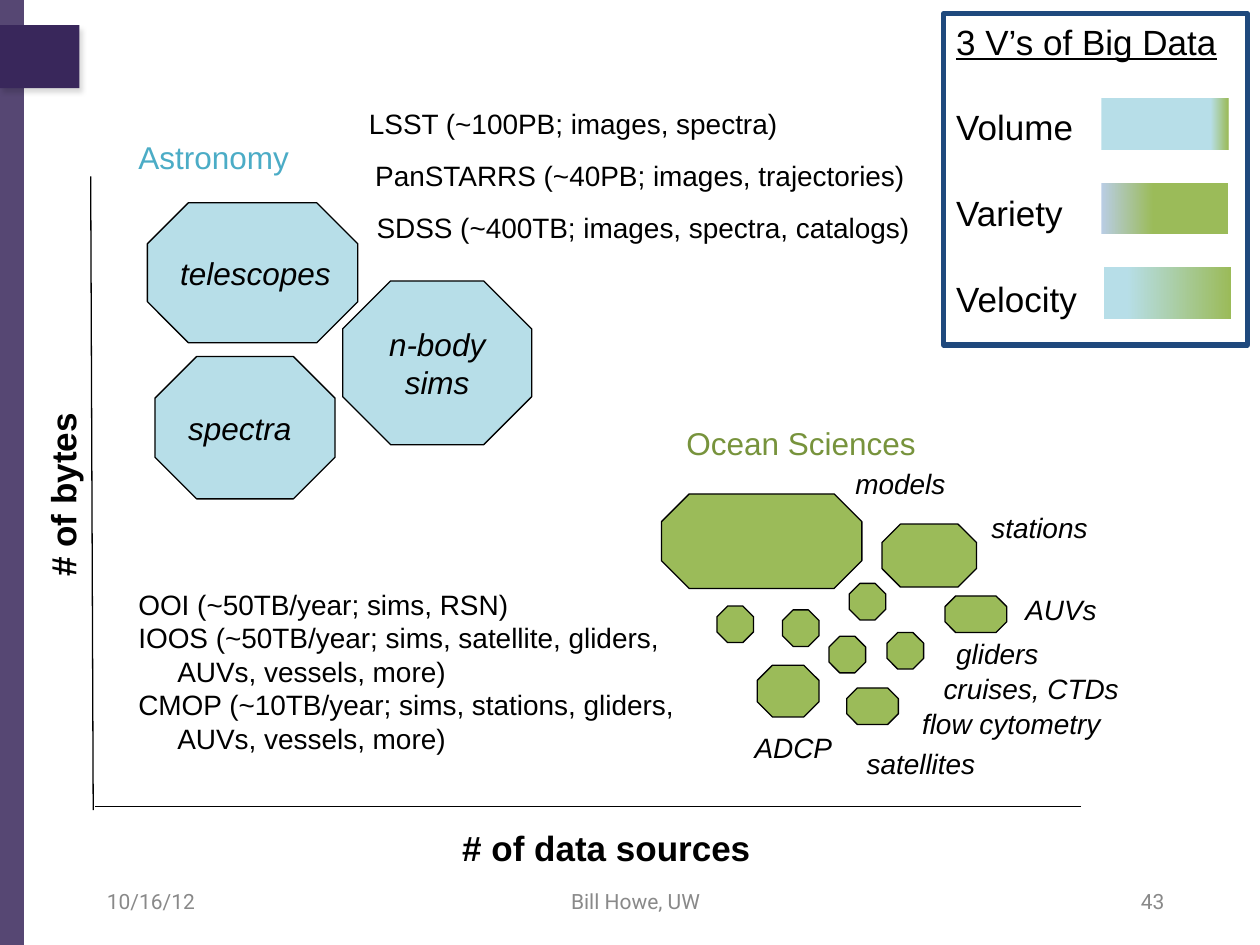
from lxml import etree
from pptx import Presentation
from pptx.dml.color import RGBColor
from pptx.enum.shapes import MSO_CONNECTOR, MSO_SHAPE
from pptx.enum.text import MSO_ANCHOR, PP_ALIGN
from pptx.oxml import parse_xml
from pptx.oxml.ns import nsdecls, qn
from pptx.util import Inches, Pt

BLACK = RGBColor(0x00, 0x00, 0x00)
PURPLE = RGBColor(0x39, 0x27, 0x5B)
GREY = RGBColor(0x89, 0x89, 0x89)
NAVY = RGBColor(0x1F, 0x49, 0x7D)
PALE_BLUE = RGBColor(0xB7, 0xDE, 0xE8)
LILAC = RGBColor(0xB9, 0xCD, 0xE5)
GREEN = RGBColor(0x9B, 0xBB, 0x59)
ASTRO_TEXT = RGBColor(0x4B, 0xAC, 0xC6)
OCEAN_TEXT = RGBColor(0x77, 0x93, 0x3C)


def style(p, size, color=BLACK, name="Arial", bold=False, italic=False):
    """Set the font of a paragraph."""
    f = p.font
    f.name, f.size, f.bold, f.italic = name, Pt(size), bold, italic
    f.color.rgb = color


def add_text(slide, x, y, w, h, text, size, align=PP_ALIGN.LEFT, **font):
    """Add a wrapping text box with one paragraph for each line of text."""
    sp = slide.shapes.add_textbox(Inches(x), Inches(y), Inches(w), Inches(h))
    tf = sp.text_frame
    tf.word_wrap = True
    tf.text = text
    for p in tf.paragraphs:
        p.alignment = align
        style(p, size, **font)
    return sp


def add_box(slide, kind, x, y, w, h, fill=None):
    """Add a flat preset shape without an outline."""
    sp = slide.shapes.add_shape(kind, Inches(x), Inches(y), Inches(w), Inches(h))
    sp.shadow.inherit = False
    sp.line.fill.background()
    if fill is None:
        sp.fill.background()
    else:
        sp.fill.solid()
        sp.fill.fore_color.rgb = fill
    return sp


def add_octagon(slide, x, y, w, h, fill, text="", wrap=False, align=PP_ALIGN.LEFT):
    """Add an outlined octagon with an optional italic label."""
    sp = add_box(slide, MSO_SHAPE.OCTAGON, x, y, w, h, fill)
    sp.adjustments[0] = 0.293
    sp.line.color.rgb = BLACK
    sp.line.width = Pt(0.75)
    if text:
        tf = sp.text_frame
        tf.word_wrap = wrap
        tf.vertical_anchor = MSO_ANCHOR.MIDDLE
        tf.text = text
        p = tf.paragraphs[0]
        p.alignment = align
        style(p, 18, italic=True)


def add_line(slide, x1, y1, x2, y2):
    """Add a thin black line."""
    line = slide.shapes.add_connector(
        MSO_CONNECTOR.STRAIGHT, Inches(x1), Inches(y1), Inches(x2), Inches(y2))
    line.line.color.rgb = BLACK
    line.line.width = Pt(0.75)
    etree.SubElement(line._element.spPr, qn("a:effectLst"))


def add_sidebar(slide, x, y, h):
    """Draw the translucent side band and the tab over it."""
    band = add_box(slide, MSO_SHAPE.RECTANGLE, x, y, 0.19, h, PURPLE)
    color = band._element.spPr.find(qn("a:solidFill"))[0]
    etree.SubElement(color, qn("a:alpha"), val="85000")
    tab = add_box(slide, MSO_SHAPE.RECTANGLE, x, y + 0.2, 0.63, 0.5, PURPLE)
    tab._element.spPr.find(qn("a:effectLst")).append(parse_xml(
        f'<a:outerShdw {nsdecls("a")} blurRad="38100" dist="38100" dir="3600000">'
        '<a:srgbClr val="000000"><a:alpha val="15000"/></a:srgbClr></a:outerShdw>'))


def add_footer(slide, x, y, h):
    """Place the date, author and page number."""
    for dx, w, text, align in (
            (0, 2.33, "10/16/12", PP_ALIGN.LEFT),
            (2.71, 3.17, "Bill Howe, UW", PP_ALIGN.CENTER),
            (6.26, 2.33, "43", PP_ALIGN.RIGHT)):
        sp = add_text(slide, x + dx, y, w, h, text, 12, align, color=GREY, name="Roboto")
        sp.text_frame.vertical_anchor = MSO_ANCHOR.MIDDLE


def add_axes(slide, x, y, w, h):
    """Draw both axes with their labels."""
    add_line(slide, x, y, x + 0.02, y + h)
    add_line(slide, x + w, y + h - 0.03, x + 0.03, y + h - 0.03)
    label = add_text(slide, x - 1.1, y + 2.44, 1.75, 0.43, "# of bytes", 20,
                     PP_ALIGN.RIGHT, bold=True)
    label.rotation = 270
    add_text(slide, x + 2.85, y + h + 0.08, 2.94, 0.43, "# of data sources", 20, bold=True)


def add_astronomy(slide, x, y):
    """Place the astronomy heading, its sources and its projects."""
    add_text(slide, x, y + 0.25, 2.46, 0.4, "Astronomy", 18, color=ASTRO_TEXT)
    add_octagon(slide, x + 0.17, y + 0.81, 1.67, 1.11, PALE_BLUE, "telescopes")
    add_octagon(slide, x + 0.23, y + 2.03, 1.43, 1.13, PALE_BLUE, "spectra")
    add_octagon(slide, x + 1.72, y + 1.43, 1.5, 1.3, PALE_BLUE, "n-body sims",
                True, PP_ALIGN.CENTER)
    for dx, dy, text in (
            (1.83, 0, "LSST (~100PB; images, spectra)"),
            (1.88, 0.41, "PanSTARRS (~40PB; images, trajectories)"),
            (1.89, 0.82, "SDSS (~400TB; images, spectra, catalogs)")):
        add_text(slide, x + dx, y + dy, 4.93, 0.37, text, 16)


def add_ocean_projects(slide, x, y, w, h):
    """List the ocean science projects with hanging indents."""
    sp = add_text(slide, x, y, w, h, "\n".join((
        "OOI (~50TB/year; sims, RSN)",
        "IOOS (~50TB/year; sims, satellite, gliders, AUVs, vessels, more)",
        "CMOP (~10TB/year; sims, stations, gliders, AUVs, vessels, more)")), 16)
    for p in sp.text_frame.paragraphs:
        pPr = p._p.get_or_add_pPr()
        pPr.set("marL", str(Inches(0.31)))
        pPr.set("indent", str(-Inches(0.31)))


def add_ocean(slide, x, y):
    """Place the ocean sciences heading, its sources and their labels."""
    add_text(slide, x + 0.1, y, 2.46, 0.4, "Ocean Sciences", 18, color=OCEAN_TEXT)
    sources = [(0, 0.6, 1.59, 0.75), (1.75, 0.84, 0.75, 0.5), (2.25, 1.41, 0.49, 0.29),
               (0.76, 1.96, 0.49, 0.41), (1.47, 2.14, 0.41, 0.29)]
    small = [(0.44, 1.49), (0.96, 1.52), (1.49, 1.31), (1.33, 1.73), (1.79, 1.7)]
    sources += [(dx, dy, 0.29, 0.29) for dx, dy in small]
    for dx, dy, w, h in sources:
        add_octagon(slide, x + dx, y + dy, w, h, GREEN)
    for dx, dy, text in (
            (1.44, 0.33, "models"), (2.52, 0.68, "stations"), (2.79, 1.33, "AUVs"),
            (2.24, 1.68, "gliders"), (2.14, 1.96, "cruises, CTDs"),
            (1.97, 2.24, "flow cytometry"), (0.64, 2.43, "ADCP"),
            (1.53, 2.56, "satellites")):
        add_text(slide, x + dx, y + dy, 2.03, 0.37, text, 16, italic=True)


def add_legend(slide, x, y, w, h):
    """Draw the framed key with a gradient bar for each V."""
    frame = add_box(slide, MSO_SHAPE.RECTANGLE, x, y, w, h)
    frame.line.color.rgb = NAVY
    frame.line.width = Pt(3)
    tf = frame.text_frame
    tf.word_wrap = True
    tf.vertical_anchor = MSO_ANCHOR.TOP
    tf.text = "3 V’s of Big Data\nVolume\nVariety\nVelocity"
    for i, p in enumerate(tf.paragraphs):
        p.alignment = PP_ALIGN.LEFT
        p.space_before = Pt(25 if i else 0)
        style(p, 20)
    tf.paragraphs[0].font.underline = True
    bars = ((1.25, PALE_BLUE, 0.86, 1), (1.25, LILAC, 0, 0.41), (1.27, PALE_BLUE, 0.18, 1))
    for i, (dx, color, start, end) in enumerate(bars):
        bar = add_box(slide, MSO_SHAPE.RECTANGLE, x + dx, y + 0.67 * (i + 1), 1.01, 0.41)
        bar.fill.gradient()
        bar.fill.gradient_angle = 0
        ends = ((color, start), (GREEN, end))
        for stop, (rgb, position) in zip(bar.fill.gradient_stops, ends):
            stop.color.rgb = rgb
            stop.position = position


def main():
    """Build the slide and save it."""
    prs = Presentation()
    prs.slide_width, prs.slide_height = Inches(10), Inches(7.5)
    slide = prs.slides.add_slide(prs.slide_layouts[6])
    add_sidebar(slide, 0, 0, 7.5)
    add_footer(slide, 0.75, 6.95, 0.4)
    add_axes(slide, 0.72, 1.4, 7.86, 5.03)
    add_astronomy(slide, 1, 0.8)
    add_ocean_projects(slide, 1, 4.61, 4.83, 1.45)
    add_ocean(slide, 5.25, 3.32)
    add_legend(slide, 7.49, 0.11, 2.41, 2.63)
    prs.save("out.pptx")


if __name__ == "__main__":
    main()
